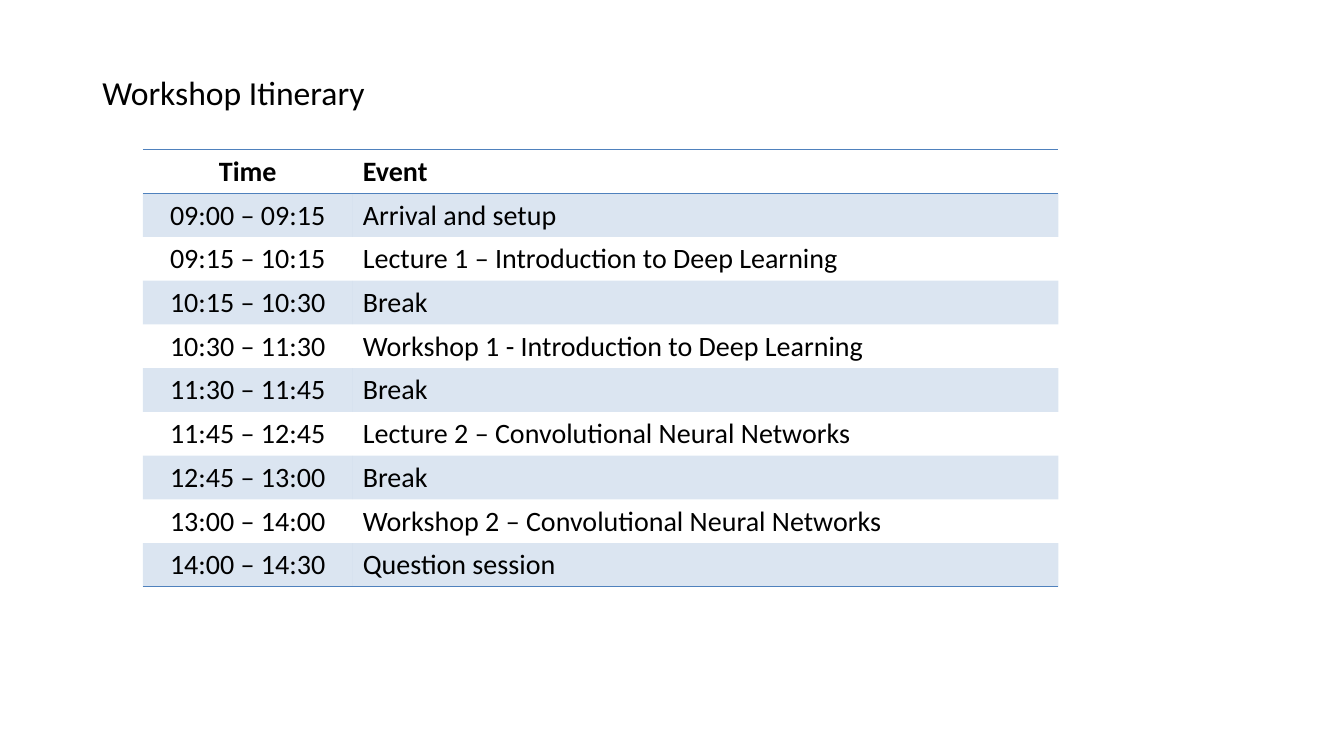
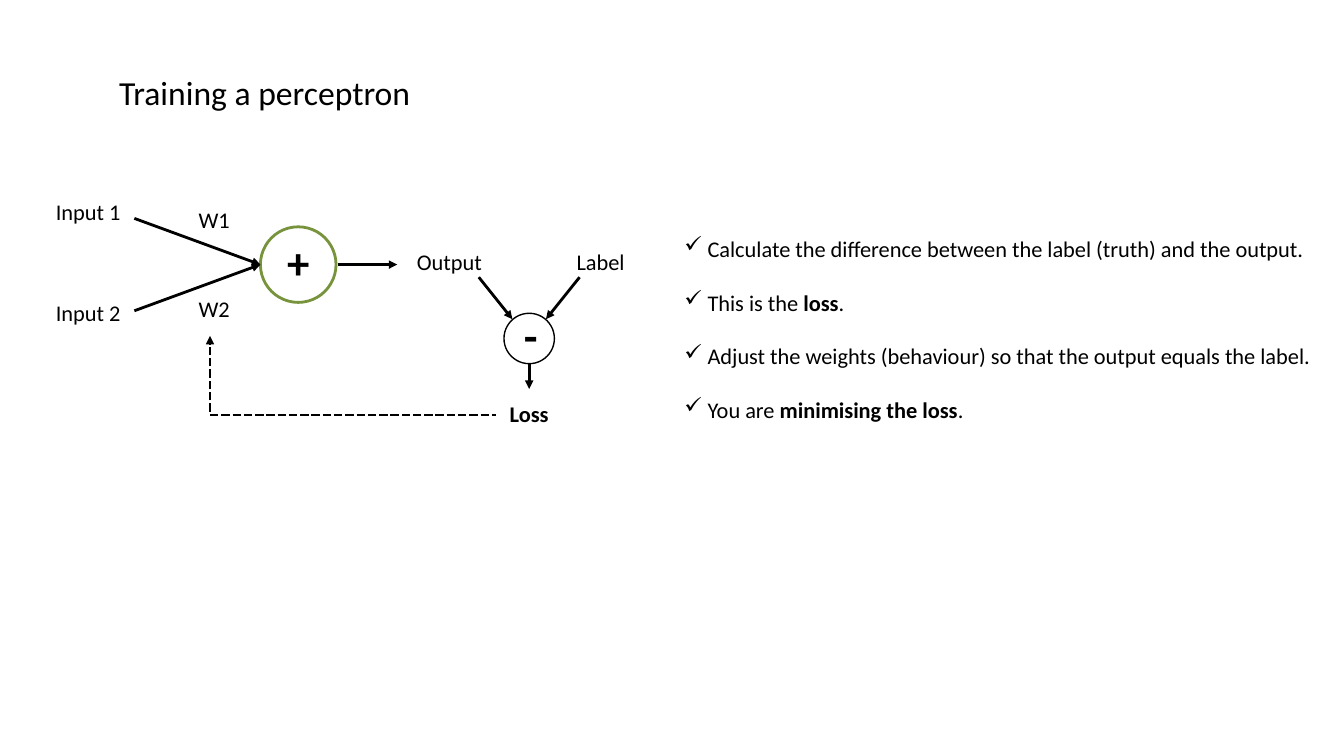
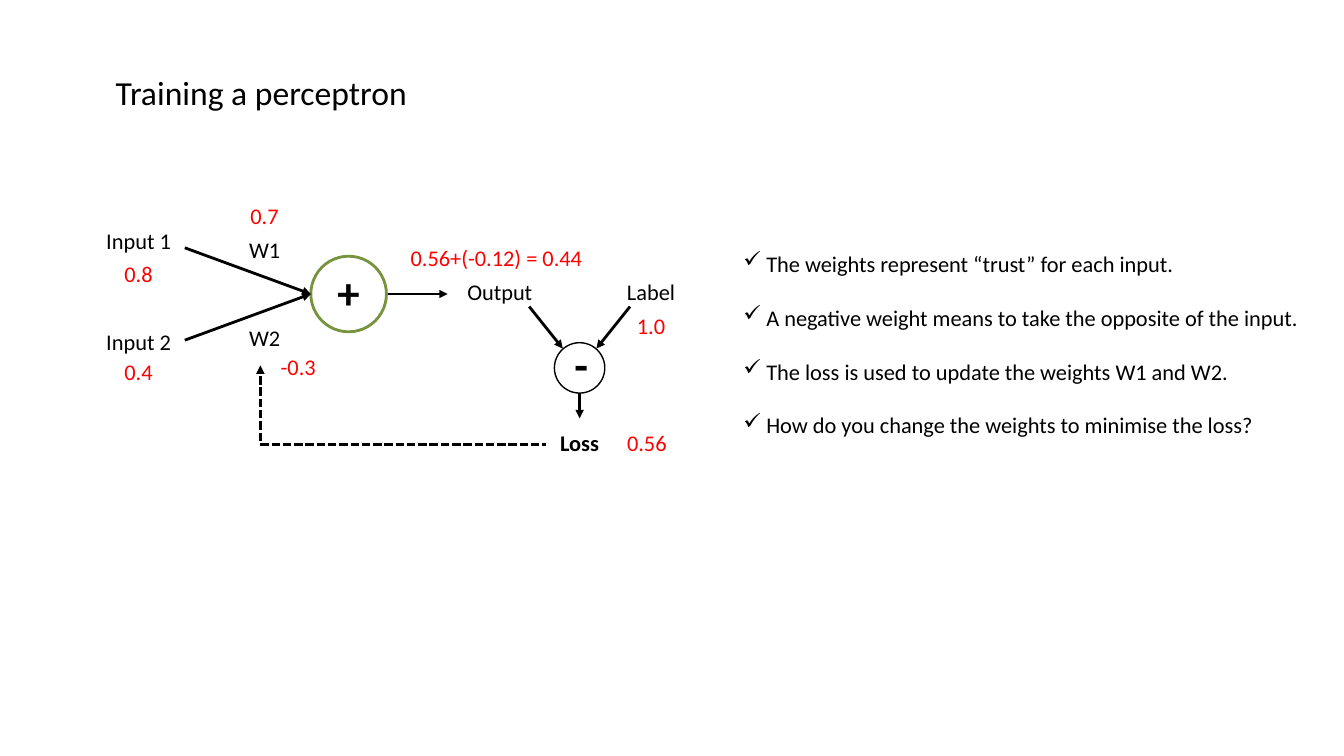
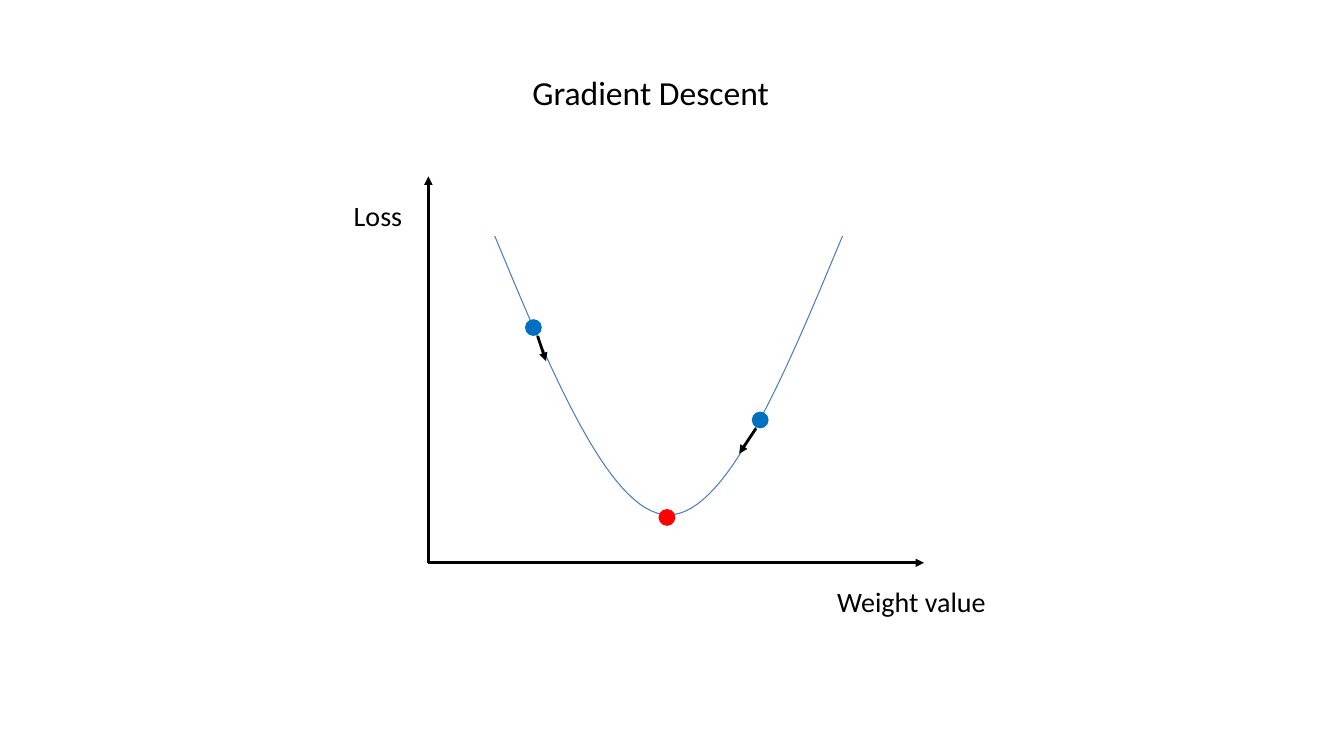
"""Build four workshop slides on training a perceptron."""
from lxml.etree import SubElement
from pptx import Presentation
from pptx.dml.color import RGBColor
from pptx.enum.dml import MSO_LINE
from pptx.enum.shapes import MSO_CONNECTOR, MSO_SHAPE
from pptx.enum.text import MSO_AUTO_SIZE, PP_ALIGN
from pptx.oxml.ns import qn
from pptx.util import Inches, Pt

BLACK = RGBColor(0x00, 0x00, 0x00)
RED = RGBColor(0xFF, 0x00, 0x00)
GREEN = RGBColor(0x77, 0x93, 0x3C)
BLUE = RGBColor(0x00, 0x70, 0xC0)
STEEL = RGBColor(0x4F, 0x81, 0xBD)
CURVE = RGBColor(0x4B, 0x7E, 0xBC)
PLAIN = "{2D5ABB26-0587-4C30-8999-92F81FD0307C}"
COLS, ROWS = 160, 90
WIDE, TALL = Inches(13.33), Inches(7.5)

EVENTS = [
    ("Time", "Event"),
    ("09:00 – 09:15", "Arrival and setup"),
    ("09:15 – 10:15", "Lecture 1 – Introduction to Deep Learning"),
    ("10:15 – 10:30", "Break"),
    ("10:30 – 11:30", "Workshop 1 - Introduction to Deep Learning"),
    ("11:30 – 11:45", "Break"),
    ("11:45 – 12:45", "Lecture 2 – Convolutional Neural Networks"),
    ("12:45 – 13:00", "Break"),
    ("13:00 – 14:00", "Workshop 2 – Convolutional Neural Networks"),
    ("14:00 – 14:30", "Question session"),
]
STEPS = [
    "Calculate the difference between the label (truth) and the output.",
    "This is the *loss*.",
    "Adjust the weights (behaviour) so that the output equals the label.",
    "You are *minimising the loss*.",
]
FACTS = [
    "The weights represent “trust” for each input.",
    "A negative weight means to take the opposite of the input.",
    "The loss is used to update the weights W1 and W2.",
    "How do you change the weights to minimise the loss?",
]
NAMES = [
    ("Input 1", 4, 23, 13), ("Input 2", 4, 35, 13), ("W1", 22, 24, 7),
    ("W2", 22, 34.5, 7), ("Output", 47, 29, 13), ("Label", 65, 29, 13),
    ("*Loss*", 56.5, 47, 13),
]
ARROWS = [
    (40.2, 31.5, 47.3, 31.5), (16, 26, 31, 31.5), (16, 37, 31, 31.5),
    (57, 33, 61, 38), (69, 33, 65, 38), (63, 43.3, 63, 46.3),
]
VALUES = [
    ("0.8", 13, 30.4, 7), ("0.4", 13, 42, 7), ("0.7", 28, 23.5, 7),
    ("-0.3", 32, 41.5, 7), ("0.56+(-0.12) = 0.44", 46.6, 28.5, 25),
    ("1.0", 74, 36.6, 7), ("0.56", 73, 50.5, 8),
]


class Deck:
    """Hold the shared style and the current slide."""

    def __init__(self):
        """Open an empty deck of the right size."""
        self.deck = Presentation()
        self.deck.slide_width, self.deck.slide_height = WIDE, TALL
        self.move()

    def move(self, dx=0, dy=0):
        """Shift the grid's origin by columns and rows."""
        self.dx, self.dy = dx, dy

    def grid(self, *cells):
        """Turn column and row counts, in turn, into lengths."""
        units = (WIDE / COLS, TALL / ROWS)
        return [round(n * units[i % 2]) for i, n in enumerate(cells)]

    def spot(self, x, y, *size):
        """Place a point or box on the shifted grid."""
        return self.grid(x + self.dx, y + self.dy, *size)

    def page(self, title, x, width):
        """Start a blank slide with its title."""
        self.move()
        self.shapes = self.deck.slides.add_slide(self.deck.slide_layouts[6]).shapes
        self.text(title, x, 8, width, 6, size=24, align=PP_ALIGN.LEFT, wrap=False)

    def fill(self, para, text, size, color=BLACK):
        """Fill a paragraph, with starred parts in bold."""
        for i, part in enumerate(text.split("*")):
            if part:
                run = para.add_run()
                run.text = part
                style = {"name": "Calibri", "size": Pt(size), "bold": i % 2 == 1}
                for key, value in style.items():
                    setattr(run.font, key, value)
                run.font.color.rgb = color

    def frame(self, x, y, width, height, wrap=True):
        """Add a text box and return its frame."""
        frame = self.shapes.add_textbox(*self.spot(x, y, width, height)).text_frame
        style = {"word_wrap": wrap, "auto_size": MSO_AUTO_SIZE.SHAPE_TO_FIT_TEXT}
        for key, value in style.items():
            setattr(frame, key, value)
        return frame

    def text(self, text, x, y, width, height=4.4, size=16, color=BLACK,
             align=PP_ALIGN.CENTER, wrap=True):
        """Add one line of text."""
        para = self.frame(x, y, width, height, wrap).paragraphs[0]
        para.alignment = align
        self.fill(para, text, size, color)

    def ticks(self, items, x, y, width, height):
        """Add a ticked list at double spacing."""
        frame = self.frame(x, y, width, height)
        indent = self.grid(2.75)[0]
        for i, item in enumerate(items):
            para = frame.add_paragraph() if i else frame.paragraphs[0]
            para.line_spacing = 2.0
            self.fill(para, item, 16)
            props = para._p.get_or_add_pPr()
            for key, value in {"marL": indent, "indent": -indent}.items():
                props.set(key, str(value))
            SubElement(props, qn("a:buChar")).set("char", "✓")

    def line(self, x, y, to_x, to_y, head=True, dash=None):
        """Add a straight line, with an arrowhead if wanted."""
        ends = self.spot(x, y) + self.spot(to_x, to_y)
        link = self.shapes.add_connector(MSO_CONNECTOR.STRAIGHT, *ends)
        link.line.color.rgb = BLACK
        for key, value in {"width": Pt(2), "dash_style": dash}.items():
            setattr(link.line, key, value)
        props = link._element.spPr
        if head:
            SubElement(props.find(qn("a:ln")), qn("a:tailEnd")).set("type", "triangle")
        SubElement(props, qn("a:effectLst"))

    def paint(self, shape, fill=None, edge=None, width=1):
        """Set fill and outline, and drop the shadow."""
        shape.shadow.inherit = False
        for part, color in ((shape.fill, fill), (shape.line.fill, edge)):
            if color is None:
                part.background()
            else:
                part.solid()
                part.fore_color.rgb = color
        if edge is not None:
            shape.line.width = Pt(width)

    def disc(self, x, y, size, **style):
        """Add a circle."""
        box = self.spot(x, y, size, size)
        self.paint(self.shapes.add_shape(MSO_SHAPE.OVAL, *box), **style)

    def bowl(self, x, y, half, depth, steps=30):
        """Draw a smooth valley around the middle column."""
        dots = []
        for i in range(-steps, steps + 1):
            t = 1 - abs(i) / steps
            drop = 1.5 * t - 0.5 * t ** 3
            dots.append(self.spot(x + half * i / steps, y + depth * drop))
        pen = self.shapes.build_freeform(*dots[0], scale=1.0)
        pen.add_line_segments(dots[1:], close=False)
        self.paint(pen.convert_to_shape(), edge=CURVE, width=0.75)

    def rule(self, cell, side):
        """Draw a thin border on one side of a cell."""
        props = cell._tc.get_or_add_tcPr()
        edge = SubElement(props, qn(f"a:{side}"), w=str(Pt(1)))
        fill = SubElement(edge, qn("a:solidFill"))
        SubElement(fill, qn("a:srgbClr"), val=str(STEEL))
        props.insert(0, edge)

    def table(self, rows, x, y, widths, height):
        """Add a ruled table with tinted odd rows."""
        box = self.spot(x, y, sum(widths), height * len(rows))
        table = self.shapes.add_table(len(rows), len(widths), *box).table
        for key in ("first_row", "horz_banding"):
            setattr(table, key, False)
        table._tbl.tblPr.find(qn("a:tableStyleId")).text = PLAIN
        for col, width in zip(table.columns, widths):
            col.width = self.grid(width)[0]
        for r, row in enumerate(rows):
            for c, text in enumerate(row):
                cell = table.cell(r, c)
                para = cell.text_frame.paragraphs[0]
                para.alignment = PP_ALIGN.LEFT if c else PP_ALIGN.CENTER
                self.fill(para, text if r else f"*{text}*", 20)
                if r % 2:
                    cell.fill.solid()
                    cell.fill.fore_color.rgb = STEEL
                    tint = cell._tc.tcPr.find(qn("a:solidFill"))[0]
                    SubElement(tint, qn("a:alpha")).set("val", "20000")
                else:
                    cell.fill.background()
                if r in (0, len(rows) - 1):
                    self.rule(cell, "lnB")
                if r == 0:
                    self.rule(cell, "lnT")

    def neuron(self, dx=0, dy=0):
        """Draw the perceptron with its loss loop."""
        self.move(dx, dy)
        self.disc(31, 27, 9, edge=GREEN, width=2)
        self.disc(60, 37.3, 6, edge=BLACK)
        self.text("*+*", 32, 27.4, 7, 7.7, size=32)
        self.text("*-*", 60.7, 36, 5, 7.7, size=32)
        for name in NAMES:
            self.text(*name)
        for arrow in ARROWS:
            self.line(*arrow)
        self.line(25, 49, 25, 40, dash=MSO_LINE.SQUARE_DOT)
        self.line(25, 49.4, 59, 49.4, head=False, dash=MSO_LINE.SQUARE_DOT)
        self.move()


def main():
    """Build and save the slides."""
    deck = Deck()

    deck.page("Workshop Itinerary", 11, 34)
    deck.table(EVENTS, 17, 17.8, (25, 84), 5.2)

    deck.page("Training a perceptron", 13, 37.5)
    deck.neuron()
    deck.ticks(STEPS, 80.3, 24.2, 78.7, 26.2)

    deck.page("Training a perceptron", 12.6, 37.5)
    deck.neuron(6, 3.5)
    deck.ticks(FACTS, 87.3, 26, 70.7, 27.1)
    for value in VALUES:
        deck.text(*value, color=RED)

    deck.page("Gradient Descent", 62.2, 30.8)
    deck.line(51, 67, 110, 67)
    deck.line(51, 67, 51, 21)
    deck.bowl(79.6, 28.1, 20.7, 33.2)
    deck.text("Weight value", 97, 69, 23, 5.3, size=20)
    deck.text("Loss", 39, 23, 12, 5.3, size=20)
    for x, y, color in ((62.5, 38, BLUE), (78.4, 60.6, RED), (89.5, 49, BLUE)):
        deck.disc(x, y, 2, fill=color)
    deck.line(64, 40, 65, 43)
    deck.line(90, 51, 88, 54)

    deck.deck.save("out.pptx")


if __name__ == "__main__":
    main()
